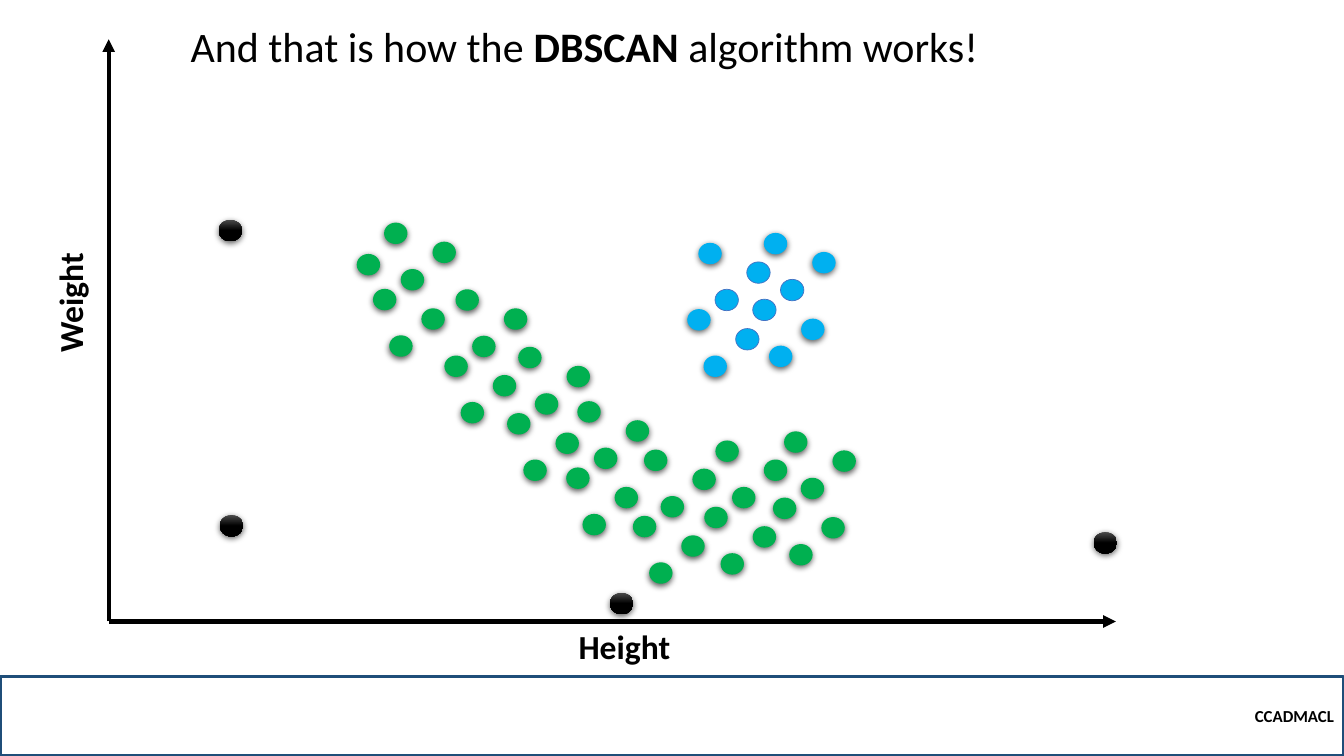
from dataclasses import dataclass

from lxml import etree
from pptx import Presentation, util as u
from pptx.dml.color import RGBColor
from pptx.enum import shapes, text
from pptx.oxml.ns import qn

# Content; all lengths in cm
TITLE = [("And that is how the ", False), ("DBSCAN ", True), ("algorithm works!", False)]
FOOTER = "CCADMACL"
LABELS = [("Height", (14.33, 15.65, 2.97, 1.27), 0),
          ("Weight", (0.25, 6.99, 3.02, 1.27), 270)]

# Clusters are built from one six-dot motif, repeated at each seed
MOTIF = [(0, 0), (0.42, 1.17), (1.22, 0.48), (-0.28, 1.67), (0.13, 2.84), (0.94, 2.16)]
GREEN = [(9.68, 5.61), (11.48, 7.29), (13.06, 8.74), (14.55, 10.11),
         (16.23, 11.33), (18.03, 11.1), (19.76, 10.87)]
STRAY = (8.99, 6.4)
BLUE = [(17.6, 6.12), (19.25, 5.87)]
RIMMED = {1, 2, 5, 7, 9}  # blue dots with an outline and no shadow
NOISE = [(5.51, 5.54), (5.54, 12.98), (27.56, 13.41), (15.37, 14.94)]

SIZE = (33.87, 19.05)
DOT = (0.59, 0.54)
ORIGIN = (2.74, 15.66)
ENDS = [(28.12, 15.66), (2.74, 0.99)]
BAND = (0, 17.04, 33.87, 2.01)
HEAD = (4.55, 0.38, 23.57, 1.55)


@dataclass(frozen=True)
class Theme:
    font: str = "Calibri"
    ink: str = "000000"
    sheen: str = "4B4B4B"
    green: str = "00B050"
    blue: str = "00B0F0"
    rim: str = "4472C4"
    band: str = "1F4E79"
    title: int = 30
    label: int = 24
    footer: int = 12


THEME = Theme()


def rgb(code):
    return RGBColor.from_string(code)


def cm(vals):
    return [u.Cm(v) for v in vals]


def write(para, runs, size):
    for words, bold in runs:
        run = para.add_run()
        run.text = words
        font = run.font
        font.name, font.size, font.bold = THEME.font, u.Pt(size), bold
        font.color.rgb = rgb(THEME.ink)


def stroke(line, code, width):
    line.color.rgb = rgb(code)
    line.width = u.Pt(width)


def shade(shape):
    """Give a shape a soft shadow just below it."""
    effects = shape._element.spPr.find(qn("a:effectLst"))
    outer = etree.SubElement(effects, qn("a:outerShdw"), blurRad=str(u.Pt(4.5)),
                             dist=str(u.Pt(1.5)), dir="5400000", algn="ctr",
                             rotWithShape="0")
    tone = etree.SubElement(outer, qn("a:srgbClr"), val=THEME.ink)
    etree.SubElement(tone, qn("a:alpha"), val="63000")


def add_dot(slide, spot, code, rim=False):
    dot = slide.shapes.add_shape(shapes.MSO_SHAPE.OVAL, *cm(spot + DOT))
    if code == THEME.ink:
        dot.fill.gradient()
        dot.fill.gradient_angle = 270
        stops = dot.fill.gradient_stops
        stops[0].color.rgb, stops[0].position = rgb(THEME.sheen), 0
        stops[1].color.rgb, stops[1].position = rgb(code), 0.5
    else:
        dot.fill.solid()
        dot.fill.fore_color.rgb = rgb(code)
    if rim:
        stroke(dot.line, THEME.rim, 0.5)
    else:
        dot.line.fill.background()
    dot.shadow.inherit = False
    if not rim:
        shade(dot)


def add_axis(slide, end):
    axis = slide.shapes.add_connector(shapes.MSO_CONNECTOR.STRAIGHT, *cm(ORIGIN + end))
    stroke(axis.line, THEME.ink, 3)
    etree.SubElement(axis.line._get_or_add_ln(), qn("a:tailEnd"), type="triangle")
    etree.SubElement(axis._element.spPr, qn("a:effectLst"))


def add_band(slide):
    band = slide.shapes.add_shape(shapes.MSO_SHAPE.RECTANGLE, *cm(BAND))
    band.fill.background()
    stroke(band.line, THEME.band, 2.25)
    band.shadow.inherit = False
    frame = band.text_frame
    frame.vertical_anchor = text.MSO_ANCHOR.MIDDLE
    frame.paragraphs[0].alignment = text.PP_ALIGN.RIGHT
    write(frame.paragraphs[0], [(FOOTER, True)], THEME.footer)


def add_label(slide, words, box, turn):
    label = slide.shapes.add_textbox(*cm(box))
    label.rotation = turn
    label.text_frame.word_wrap = False
    write(label.text_frame.paragraphs[0], [(words, True)], THEME.label)


def set_title(slide):
    title = slide.shapes.title
    title.left, title.top, title.width, title.height = cm(HEAD)
    frame = title.text_frame
    frame.word_wrap = True
    frame.auto_size = text.MSO_AUTO_SIZE.NONE
    frame.vertical_anchor = text.MSO_ANCHOR.TOP
    frame.paragraphs[0].alignment = text.PP_ALIGN.LEFT
    write(frame.paragraphs[0], TITLE, THEME.title)


def spread(seeds):
    return [(x + dx, y + dy) for x, y in seeds for dx, dy in MOTIF]


def main():
    deck = Presentation()
    deck.slide_width, deck.slide_height = cm(SIZE)
    slide = deck.slides.add_slide(deck.slide_layouts[5])
    set_title(slide)
    add_band(slide)
    for end in ENDS:
        add_axis(slide, end)
    for spot in spread(GREEN) + [STRAY]:
        add_dot(slide, spot, THEME.green)
    for i, spot in enumerate(spread(BLUE)):
        add_dot(slide, spot, THEME.blue, i in RIMMED)
    for spot in NOISE:
        add_dot(slide, spot, THEME.ink)
    for label in LABELS:
        add_label(slide, *label)
    deck.save("out.pptx")


if __name__ == "__main__":
    main()
